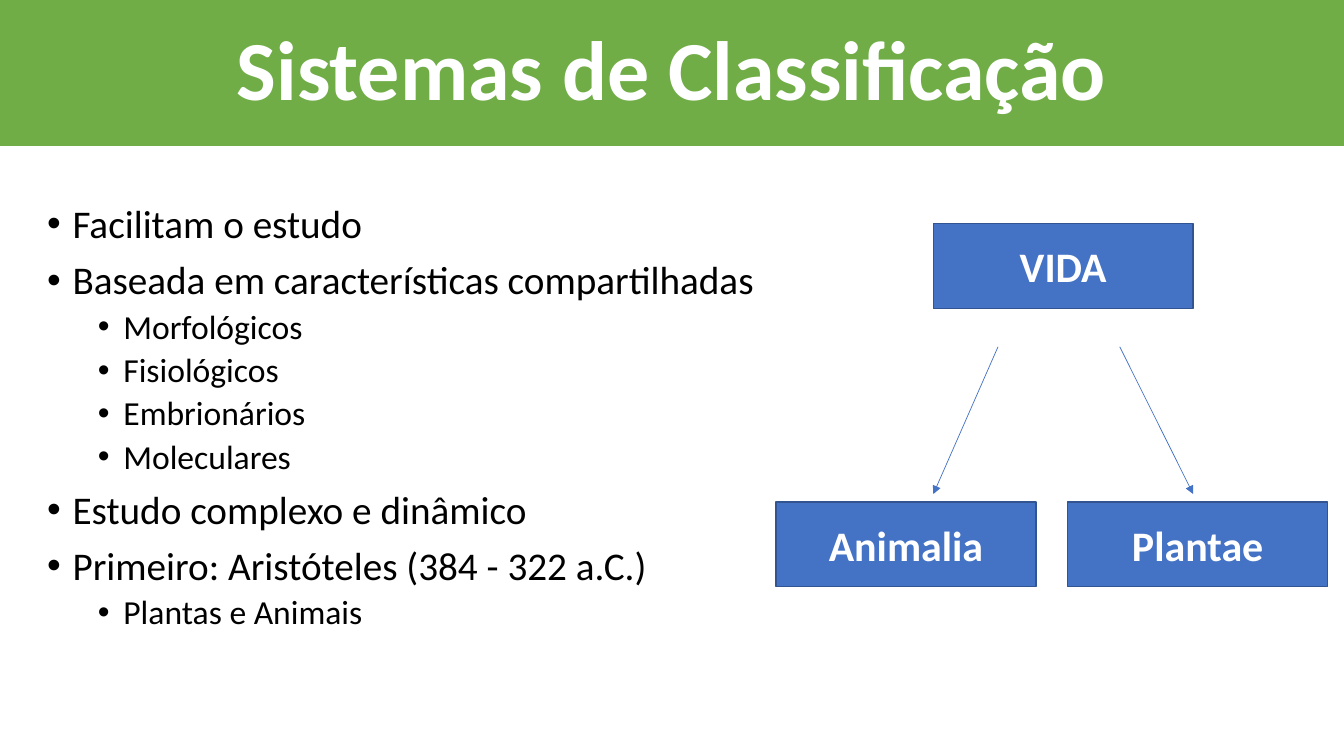
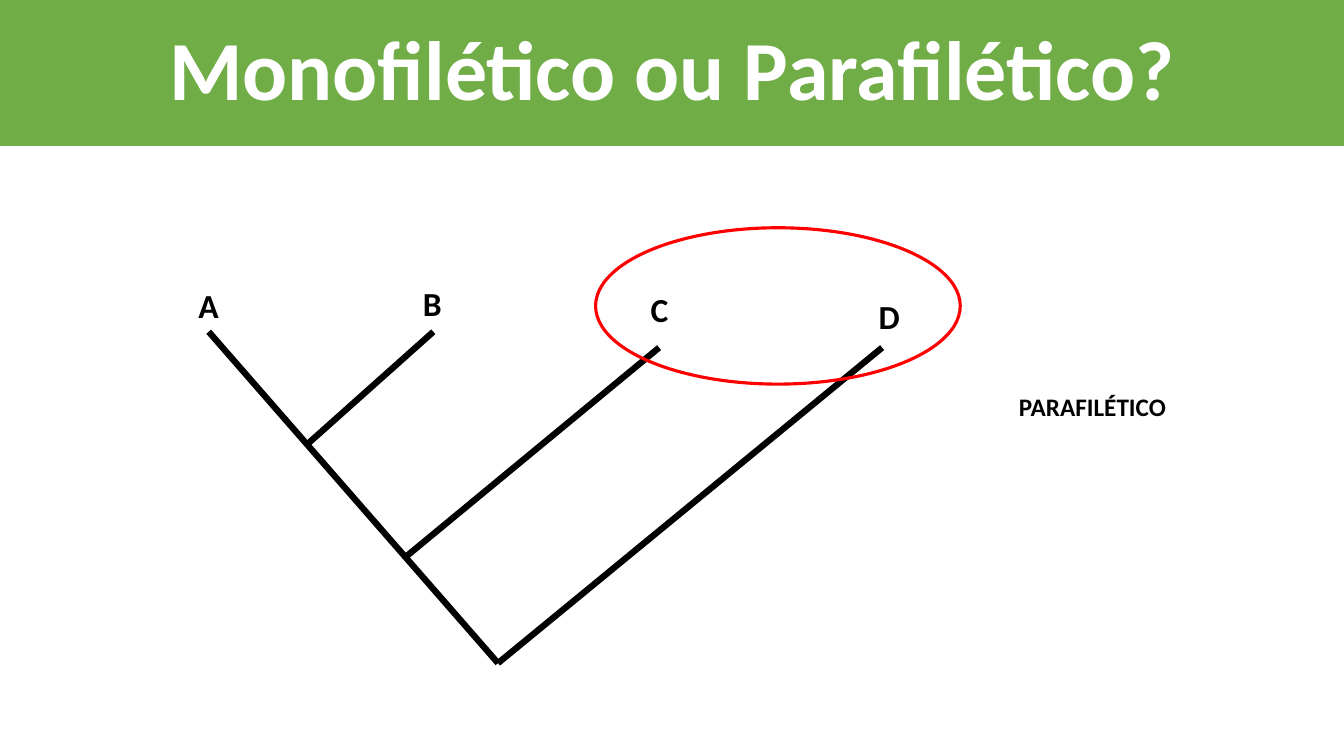
from lxml.etree import SubElement
from pptx import Presentation
from pptx.dml.color import RGBColor
from pptx.enum.shapes import MSO_CONNECTOR as Connector, MSO_SHAPE as Shape
from pptx.enum.text import MSO_ANCHOR as Anchor, MSO_AUTO_SIZE as AutoSize, PP_ALIGN as Align
from pptx.oxml.ns import qn
from pptx.util import Cm, Pt

COLORS = {
    "band": "70AD47",
    "box": "4472C4",
    "box_edge": "325491",
    "ring": "FF0000",
    "ink": "000000",
    "paper": "FFFFFF",
}
FONT = "Calibri"
SLIDE_W, SLIDE_H = 33.87, 19.05
BAND_H = 3.68
INDENT = 0.64


def rgb(key):
    return RGBColor.from_string(COLORS[key])


def write(paragraph, text, size=24, color="ink", bold=True, align=Align.LEFT,
          spacing=None, before=None):
    run = paragraph.add_run()
    run.text = text
    font = run.font
    font.name, font.size, font.bold = FONT, Pt(size), bold
    font.color.rgb = rgb(color)
    paragraph.alignment = align
    if spacing:
        paragraph.line_spacing = spacing
    if before:
        paragraph.space_before = Pt(before)


def add_panel(slide, kind, box, fill=None, edge=None, edge_width=1):
    panel = slide.shapes.add_shape(kind, *map(Cm, box))
    panel.shadow.inherit = False
    if fill:
        panel.fill.solid()
        panel.fill.fore_color.rgb = rgb(fill)
    else:
        panel.fill.background()
    if edge:
        panel.line.color.rgb = rgb(edge)
        panel.line.width = Pt(edge_width)
    else:
        panel.line.fill.background()
    panel.text_frame.vertical_anchor = Anchor.MIDDLE
    return panel


def add_line(slide, start, end, color, width, arrow=False):
    line = slide.shapes.add_connector(Connector.STRAIGHT, *map(Cm, (*start, *end)))
    line.line.color.rgb = rgb(color)
    line.line.width = Pt(width)
    if arrow:
        SubElement(line.line._get_or_add_ln(), qn("a:tailEnd"), type="triangle")
    SubElement(line._element.spPr, qn("a:effectLst"))


def add_label(slide, box, text, **style):
    label = slide.shapes.add_textbox(*map(Cm, box))
    label.text_frame.word_wrap = False
    label.text_frame.auto_size = AutoSize.SHAPE_TO_FIT_TEXT
    write(label.text_frame.paragraphs[0], text, **style)


def add_titled_slide(prs, title):
    slide = prs.slides.add_slide(prs.slide_layouts[6])
    band = add_panel(slide, Shape.RECTANGLE, (0, 0, SLIDE_W, BAND_H), fill="band")
    write(band.text_frame.paragraphs[0], title, size=60, color="paper",
          align=Align.CENTER, spacing=0.9)
    return slide


def add_bullets(slide, box, items):
    frame = slide.shapes.add_textbox(*map(Cm, box)).text_frame
    frame.word_wrap = True
    for index, (level, text) in enumerate(items):
        paragraph = frame.add_paragraph() if index else frame.paragraphs[0]
        paragraph.level = level
        properties = paragraph._p.get_or_add_pPr()
        properties.set("marL", str(Cm(INDENT * (1 + 2 * level))))
        properties.set("indent", str(-Cm(INDENT)))
        SubElement(properties, qn("a:buFont"), typeface="Arial")
        SubElement(properties, qn("a:buChar"), char="•")
        write(paragraph, text, size=24 if level else 28, bold=False, spacing=0.9,
              before=(5 if level else 10) if index else None)


def add_kingdoms(slide, box, life, kingdoms):
    left, top, width, height = box
    box_w, box_h = 6.55, 2.13
    life_left = left + 3.96
    kingdom_top = top + height - box_h
    arrow_top, arrow_bottom = top + 3.1, kingdom_top - 0.2
    boxes = [(life, life_left, top),
             (kingdoms[0], left, kingdom_top),
             (kingdoms[1], left + width - box_w, kingdom_top)]
    for name, box_left, box_top in boxes:
        panel = add_panel(slide, Shape.RECTANGLE, (box_left, box_top, box_w, box_h),
                          fill="box", edge="box_edge")
        write(panel.text_frame.paragraphs[0], name, size=30, color="paper",
              align=Align.CENTER)
    for start_x, end_x in ((1.63, 0), (4.7, box_w)):
        add_line(slide, (life_left + start_x, arrow_top),
                 (life_left + end_x, arrow_bottom), "box", 0.5, arrow=True)


def add_cladogram(slide, box, answer):
    left, top, width, height = box

    def at(x, y):
        return left + x, top + y

    root, first_tip = (7.8, height), (0.51, 2.62)

    def on_trunk(share):
        return [tip + share * (base - tip) for tip, base in zip(first_tip, root)]

    branches = [(root, (17.48, 3.02)), (root, first_tip),
                (on_trunk(0.34), (6.17, 2.62)), (on_trunk(0.68), (11.86, 3.02))]
    for node, tip in branches:
        add_line(slide, at(*node), at(*tip), "ink", 4.5)

    taxa = {"A": (0, 1.32), "B": (5.66, 1.27), "C": (11.4, 1.42), "D": (17.14, 1.58)}
    for taxon, place in taxa.items():
        add_label(slide, (*at(*place), 1.04, 1.27), taxon)

    add_panel(slide, Shape.OVAL, (*at(10.26, 0), 9.19, 3.94), edge="ring", edge_width=2.25)
    answer_w = 4.24
    add_label(slide, (*at(width - answer_w, 3.99), answer_w, 1.02), answer, size=18)


def main():
    prs = Presentation()
    prs.slide_width, prs.slide_height = Cm(SLIDE_W), Cm(SLIDE_H)

    systems = add_titled_slide(prs, "Sistemas de Classificação")
    add_bullets(systems, (0.94, 5.03, 18.6, 12.09), [
        (0, "Facilitam o estudo"),
        (0, "Baseada em características compartilhadas"),
        (1, "Morfológicos"),
        (1, "Fisiológicos"),
        (1, "Embrionários"),
        (1, "Moleculares"),
        (0, "Estudo complexo e dinâmico"),
        (0, "Primeiro: Aristóteles (384 - 322 a.C.)"),
        (1, "Plantas e Animais"),
    ])
    add_kingdoms(systems, (19.56, 5.64, 13.9, 9.14), "VIDA", ("Animalia", "Plantae"))

    grouping = add_titled_slide(prs, "Monofilético ou Parafilético?")
    add_cladogram(grouping, (4.75, 5.74, 24.92, 10.97), "PARAFILÉTICO")

    prs.save("out.pptx")


if __name__ == "__main__":
    main()
